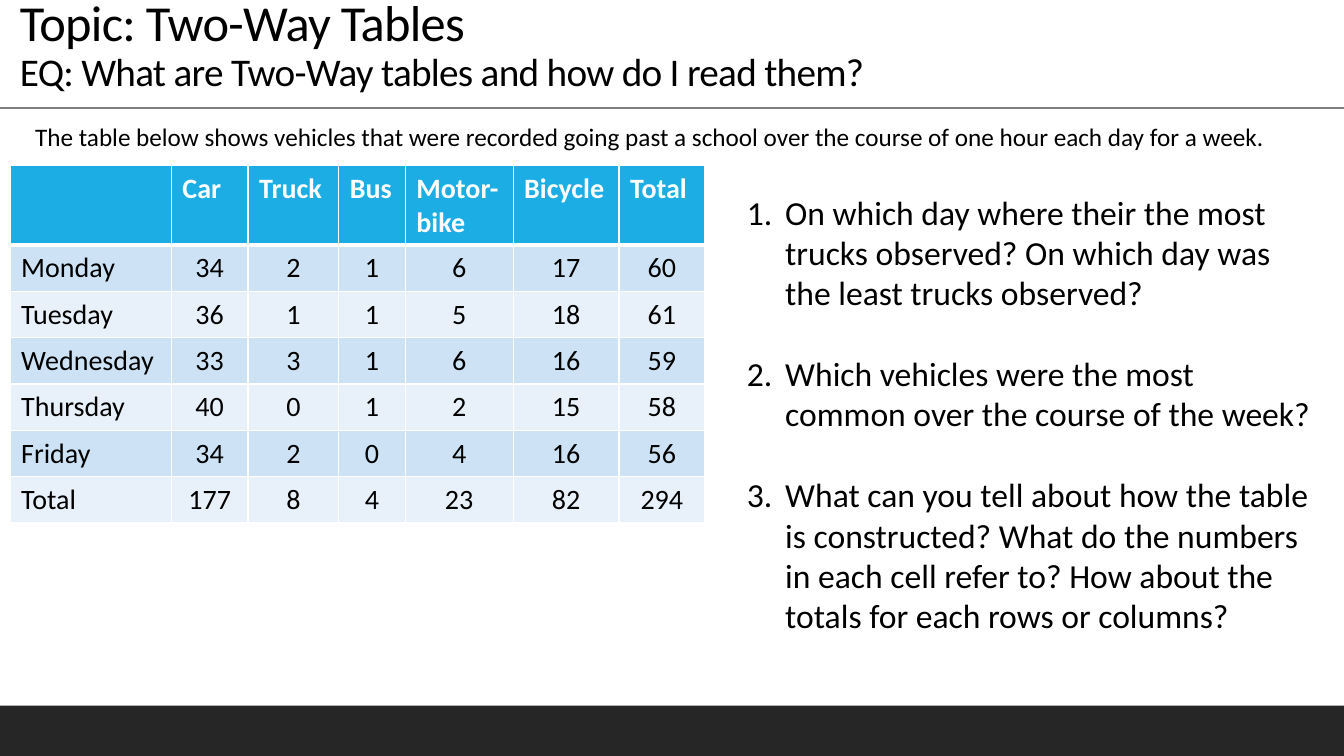
import dataclasses

import lxml.etree
import pptx
import pptx.dml.color
import pptx.enum.shapes
import pptx.enum.text
import pptx.oxml.ns
import pptx.util

Inches = pptx.util.Inches
Pt = pptx.util.Pt
qn = pptx.oxml.ns.qn
Align = pptx.enum.text.PP_ALIGN
Anchor = pptx.enum.text.MSO_ANCHOR


@dataclasses.dataclass(frozen=True)
class Theme:
    font: str = "Calibri"
    text: str = "000000"
    white: str = "FFFFFF"
    footer: str = "262626"
    rule: str = "7F7F7F"
    header: str = "1CADE4"
    bands: tuple = ("CDE3F5", "E8F1FA")
    topic_size: int = 36
    question_size: int = 28
    list_size: int = 24
    table_size: int = 20
    note_size: int = 18


WIDTH, HEIGHT = 13.33, 7.5
COLUMN_WIDTHS = [1.6, 0.76, 0.9, 0.66, 1.07, 1.05, 0.85]
HEADER_HEIGHT, ROW_HEIGHT = 0.79, 0.46
VEHICLE_COUNTS = [
    ["", "Car", "Truck", "Bus", "Motor-bike", "Bicycle", "Total"],
    ["Monday", 34, 2, 1, 6, 17, 60],
    ["Tuesday", 36, 1, 1, 5, 18, 61],
    ["Wednesday", 33, 3, 1, 6, 16, 59],
    ["Thursday", 40, 0, 1, 2, 15, 58],
    ["Friday", 34, 2, 0, 4, 16, 56],
    ["Total", 177, 8, 4, 23, 82, 294],
]
QUESTIONS = [
    "On which day where their the most trucks observed? "
    "On which day was the least trucks observed?",
    "Which vehicles were the most common over the course of the week?",
    "What can you tell about how the table is constructed? What do the numbers "
    "in each cell refer to? How about the totals for each rows or columns?",
]


def rgb(color):
    return pptx.dml.color.RGBColor.from_string(color)


class SlideBuilder:
    def __init__(self, slide, theme):
        self.slide = slide
        self.theme = theme

    def style(self, font, size, color=None, bold=False):
        font.name = self.theme.font
        font.size = Pt(size)
        font.bold = bold
        font.color.rgb = rgb(color or self.theme.text)

    def bar(self, left, top, width, height, color):
        shape = self.slide.shapes.add_shape(
            pptx.enum.shapes.MSO_SHAPE.RECTANGLE,
            Inches(left), Inches(top), Inches(width), Inches(height))
        shape.shadow.inherit = False
        shape.fill.solid()
        shape.fill.fore_color.rgb = rgb(color)
        shape.line.fill.background()

    def rule(self, top, color):
        line = self.slide.shapes.add_connector(
            pptx.enum.shapes.MSO_CONNECTOR.STRAIGHT,
            0, Inches(top), Inches(WIDTH), Inches(top))
        line.line.color.rgb = rgb(color)
        line.line.width = Pt(1)
        lxml.etree.SubElement(line._element.spPr, qn("a:effectLst"))

    def text_frame(self, left, top, width, height, anchor=Anchor.TOP):
        box = self.slide.shapes.add_textbox(
            Inches(left), Inches(top), Inches(width), Inches(height))
        box.text_frame.word_wrap = True
        box.text_frame.vertical_anchor = anchor
        return box.text_frame

    def title(self, topic, question):
        paragraph = self.text_frame(0.1, 0.04, 11, 0.95, Anchor.BOTTOM).paragraphs[0]
        paragraph.line_spacing = 0.9
        sizes = (self.theme.topic_size, self.theme.question_size)
        for index, (text, size) in enumerate(zip((topic, question), sizes)):
            if index:
                paragraph.add_line_break()
            run = paragraph.add_run()
            run.text = text
            self.style(run.font, size)
            run.font._element.set("spc", "-50")

    def note(self, text):
        paragraph = self.text_frame(0.25, 1.15, 12.57, 0.4).paragraphs[0]
        paragraph.text = text
        self.style(paragraph.font, self.theme.note_size)

    def numbered_list(self, items):
        frame = self.text_frame(7.31, 1.85, 5.84, 4.54)
        indent = Inches(0.38)
        for index, item in enumerate(items):
            paragraph = frame.add_paragraph() if index else frame.paragraphs[0]
            paragraph.text = item
            if index:
                paragraph.space_before = Pt(29)
            properties = paragraph._p.get_or_add_pPr()
            properties.set("marL", str(indent))
            properties.set("indent", str(-indent))
            lxml.etree.SubElement(
                properties, qn("a:buFont"), typeface=self.theme.font)
            lxml.etree.SubElement(
                properties, qn("a:buAutoNum"), type="arabicPeriod")
            self.style(paragraph.font, self.theme.list_size)

    def cell_borders(self, cell, top=1, bottom=1):
        """Draw white borders; call before filling, as lines precede the fill in XML."""
        properties = cell._tc.get_or_add_tcPr()
        for side, width in (("L", 1), ("R", 1), ("T", top), ("B", bottom)):
            line = lxml.etree.SubElement(
                properties, qn("a:ln" + side), w=str(Pt(width)))
            fill = lxml.etree.SubElement(line, qn("a:solidFill"))
            lxml.etree.SubElement(fill, qn("a:srgbClr"), val=self.theme.white)

    def table(self, left, top, rows):
        height = HEADER_HEIGHT + ROW_HEIGHT * (len(rows) - 1)
        table = self.slide.shapes.add_table(
            len(rows), len(COLUMN_WIDTHS), Inches(left), Inches(top),
            Inches(sum(COLUMN_WIDTHS)), Inches(height)).table
        for column, width in zip(table.columns, COLUMN_WIDTHS):
            column.width = Inches(width)
        for row_index, values in enumerate(rows):
            is_header = row_index == 0
            table.rows[row_index].height = Inches(
                HEADER_HEIGHT if is_header else ROW_HEIGHT)
            fill = self.theme.header if is_header else self.theme.bands[(row_index - 1) % 2]
            for column_index, value in enumerate(values):
                cell = table.cell(row_index, column_index)
                self.cell_borders(cell, top=3 if row_index == 1 else 1,
                                  bottom=3 if is_header else 1)
                cell.fill.solid()
                cell.fill.fore_color.rgb = rgb(fill)
                cell.margin_left = cell.margin_right = Inches(0.11)
                cell.margin_top = cell.margin_bottom = Inches(0.06)
                paragraph = cell.text_frame.paragraphs[0]
                paragraph.text = str(value)
                if column_index and not is_header:
                    paragraph.alignment = Align.CENTER
                self.style(paragraph.font, self.theme.table_size,
                           self.theme.white if is_header else self.theme.text,
                           bold=is_header)


def main():
    presentation = pptx.Presentation()
    presentation.slide_width = Inches(WIDTH)
    presentation.slide_height = Inches(HEIGHT)
    theme = Theme()
    slide = presentation.slides.add_slide(presentation.slide_layouts[6])
    builder = SlideBuilder(slide, theme)
    builder.bar(0, 7, WIDTH, 0.5, theme.footer)
    builder.rule(1.07, theme.rule)
    builder.title("Topic: Two-Way Tables",
                  "EQ: What are Two-Way tables and how do I read them?")
    builder.table(0.1, 1.64, VEHICLE_COUNTS)
    builder.note("The table below shows vehicles that were recorded going past a "
                 "school over the course of one hour each day for a week.")
    builder.numbered_list(QUESTIONS)
    presentation.save("out.pptx")


if __name__ == "__main__":
    main()
